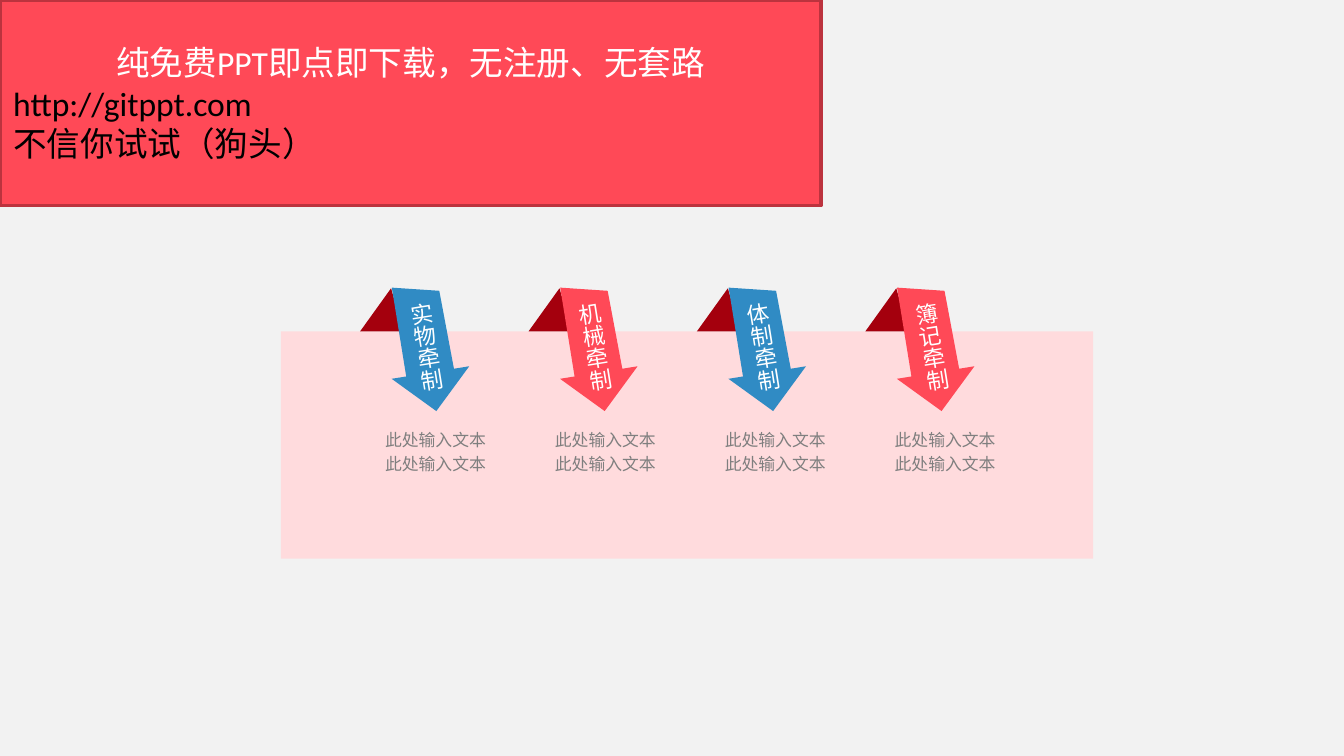
from pptx import Presentation
from pptx.dml.color import RGBColor
from pptx.enum.shapes import MSO_SHAPE
from pptx.enum.text import MSO_ANCHOR, MSO_AUTO_SIZE, PP_ALIGN
from pptx.oxml.ns import qn
from pptx.util import Inches, Pt

RECTANGLE = MSO_SHAPE.RECTANGLE
MIDDLE = MSO_ANCHOR.MIDDLE
GROW = MSO_AUTO_SIZE.SHAPE_TO_FIT_TEXT
LEFT, CENTER = PP_ALIGN.LEFT, PP_ALIGN.CENTER
GRAY_BACK = RGBColor(0xF2, 0xF2, 0xF2)
PINK = RGBColor(0xFF, 0xDB, 0xDD)
DARK_RED = RGBColor(0xA4, 0x00, 0x0D)
BLUE = RGBColor(0x30, 0x8B, 0xC4)
RED = RGBColor(0xFF, 0x49, 0x57)
RED_EDGE = RGBColor(0xBC, 0x33, 0x3E)
GRAY = RGBColor(0x7F, 0x7F, 0x7F)
WHITE = RGBColor(0xFF, 0xFF, 0xFF)
BLACK = RGBColor(0x00, 0x00, 0x00)
CJK = "Noto Sans CJK SC"

prs = Presentation()
prs.slide_width = Inches(10)
prs.slide_height = prs.slide_width * 9 // 16
COLUMN = prs.slide_width / 100
slide = prs.slides.add_slide(prs.slide_layouts[6])
slide.background.fill.solid()
slide.background.fill.fore_color.rgb = GRAY_BACK


def grid(*counts):
    return [round(count * COLUMN) for count in counts]


def format_paragraph(paragraph, size, color, align, font=CJK):
    paragraph.alignment = align
    for run in paragraph.runs:
        run.font.size = Pt(size)
        run.font.color.rgb = color
        run.font.name = font
        east_asian = run.font._element.makeelement(qn("a:ea"), {"typeface": CJK})
        run.font._element.find(qn("a:latin")).addnext(east_asian)


panel = slide.shapes.add_shape(RECTANGLE, *grid(20.9, 24.66, 60.45, 16.92))
panel.shadow.inherit = False
panel.fill.solid()
panel.fill.fore_color.rgb = PINK
panel.line.fill.background()

FOLD = [(3.2, 3.2), (2.3, 0), (0, 3.2)]
ARROW = [(4.55, 0.8), (4.7, 6.7), (5.85, 6.7), (2.9, 9.6),
         (0, 6.7), (1.1, 6.7), (1.1, 0)]
ribbons = [("实物牵制", BLUE), ("机械牵制", RED), ("体制牵制", BLUE), ("簿记牵制", RED)]

for index, (title, color) in enumerate(ribbons):
    offset = index * 12.53
    for outline, left, top, fill in ((FOLD, 26.8, 21.45, DARK_RED),
                                     (ARROW, 28.8, 21.05, color)):
        corners = [grid(left + offset + x, top + y) for x, y in outline]
        builder = slide.shapes.build_freeform(*corners[0])
        builder.add_line_segments(corners[1:], close=True)
        ribbon = builder.convert_to_shape()
        ribbon.shadow.inherit = False
        ribbon.fill.solid()
        ribbon.fill.fore_color.rgb = fill
        ribbon.line.fill.background()
    ribbon.rotation = 350.8
    label = ribbon.text_frame
    label.text = title
    label.vertical_anchor = MIDDLE
    label.margin_left = label.margin_right = label.margin_top = label.margin_bottom = 0
    label._txBody.bodyPr.set("vert", "eaVert")
    label._txBody.bodyPr.set("anchorCtr", "1")
    format_paragraph(label.paragraphs[0], 12, WHITE, CENTER)

for index in range(len(ribbons)):
    details = slide.shapes.add_textbox(*grid(25.55 + index * 12.64, 31.25, 13.7, 4.4)).text_frame
    details.word_wrap = True
    details.auto_size = GROW
    details.margin_left, details.margin_right = grid(0.7, 0.7)
    details.margin_top, details.margin_bottom = grid(0.4, 0.4)
    details.text = "\n".join(["此处输入文本"] * 2)
    for paragraph in details.paragraphs:
        paragraph.line_spacing = 1.2
        format_paragraph(paragraph, 9, GRAY, CENTER)

banner = slide.shapes.add_shape(RECTANGLE, *grid(0, 0, 61.1, 15.3))
banner.shadow.inherit = False
banner.fill.solid()
banner.fill.fore_color.rgb = RED
banner.line.color.rgb = RED_EDGE
banner.line.width = Pt(2)
banner.text_frame.vertical_anchor = MIDDLE
banner.text_frame.text = "纯免费PPT即点即下载，无注册、无套路\nhttp://gitppt.com\n不信你试试（狗头）"
styles = [(WHITE, CENTER), (BLACK, LEFT), (BLACK, LEFT)]
for paragraph, (color, align) in zip(banner.text_frame.paragraphs, styles):
    format_paragraph(paragraph, 18, color, align, "Calibri")

prs.save("out.pptx")
